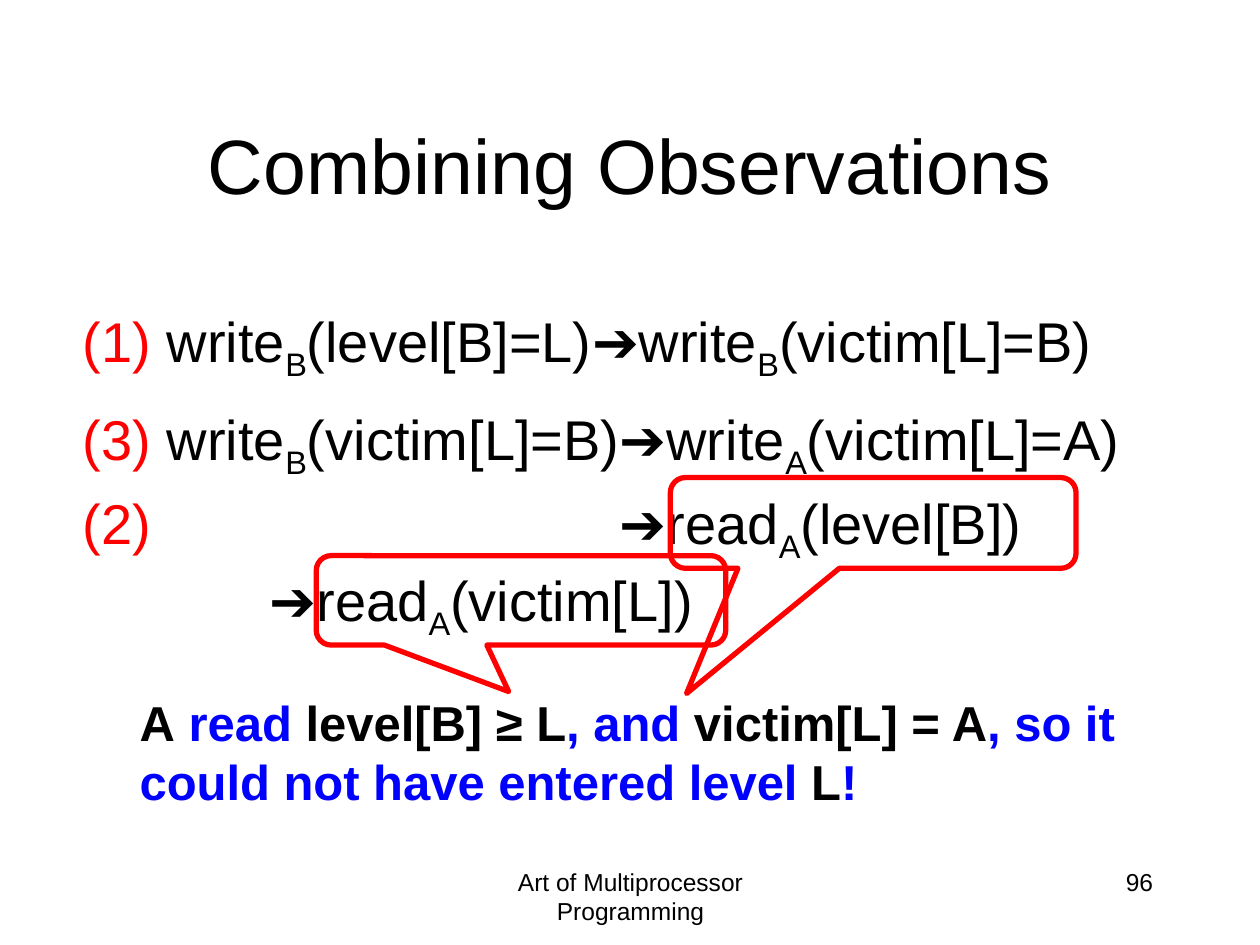
from lxml.etree import SubElement
from pptx import Presentation
from pptx.dml.color import RGBColor
from pptx.enum.shapes import MSO_SHAPE
from pptx.enum.text import MSO_ANCHOR, PP_ALIGN
from pptx.oxml.ns import qn
from pptx.util import Inches, Pt

COLORS = {"black": "000000", "red": "FF0000", "blue": "0000FF"}


class SlideBuilder:
    font_name = "Arial"

    def __init__(self, presentation):
        self.slide = presentation.slides.add_slide(presentation.slide_layouts[6])

    def color(self, name):
        return RGBColor.from_string(COLORS[name])

    def text(self, box, paragraphs, size, align=PP_ALIGN.LEFT,
             anchor=MSO_ANCHOR.TOP, bold=False, tab=None):
        """Add a text box; each paragraph is (indent in inches, [(text, color), ...])."""
        shape = self.slide.shapes.add_textbox(*map(Inches, box))
        frame = shape.text_frame
        frame.word_wrap = True
        frame.vertical_anchor = anchor
        for index, (indent, runs) in enumerate(paragraphs):
            paragraph = frame.add_paragraph() if index else frame.paragraphs[0]
            paragraph.alignment = align
            properties = paragraph._p.get_or_add_pPr()
            if indent:
                properties.set("marL", str(Inches(indent)))
            if tab:
                tab_list = SubElement(properties, qn("a:tabLst"))
                SubElement(tab_list, qn("a:tab"), pos=str(Inches(tab)), algn="l")
            paragraph.font.name = self.font_name
            paragraph.font.size = Pt(size)
            paragraph.font.bold = bold
            for text, color in runs:
                self.runs(paragraph, text, color)

    def runs(self, paragraph, text, color):
        """Add text, lowering the one letter that follows each underscore."""
        first, *rest = text.split("_")
        pieces = [(first, False)]
        for part in rest:
            pieces += [(part[0], True), (part[1:], False)]
        for piece, lowered in pieces:
            run = paragraph.add_run()
            run.text = piece
            run.font.color.rgb = self.color(color)
            if lowered:
                run.font._element.set("baseline", "-25000")

    def callout(self, box, tip):
        """Outline a box; tip is the pointer's offset from its centre, as shares of its size."""
        shape = self.slide.shapes.add_shape(
            MSO_SHAPE.ROUNDED_RECTANGULAR_CALLOUT, *map(Inches, box))
        shape.shadow.inherit = False
        shape.adjustments[0], shape.adjustments[1] = tip
        shape.fill.background()
        shape.line.color.rgb = self.color("red")
        shape.line.width = Pt(3)


def main():
    presentation = Presentation()
    presentation.slide_width = Inches(10)
    presentation.slide_height = Inches(7.5)
    builder = SlideBuilder(presentation)

    builder.text((3.42, 6.83, 3.17, 0.5),
                 [(0, [("Art of Multiprocessor Programming", "black")])],
                 14, PP_ALIGN.CENTER)
    builder.text((7.17, 6.83, 2.08, 0.5), [(0, [("96", "black")])], 14, PP_ALIGN.RIGHT)
    builder.text((0.75, 0.67, 8.5, 1.25), [(0, [("Combining Observations", "black")])],
                 44, PP_ALIGN.CENTER, MSO_ANCHOR.MIDDLE)

    observations = [
        ((0.56, 2.38, 8.6, 0.64), "(1)", " write_B(level[B]=L)➔write_B(victim[L]=B)"),
        ((0.56, 3.16, 9.2, 0.63), "(3)", " write_B(victim[L]=B)➔write_A(victim[L]=A)"),
    ]
    for box, number, events in observations:
        builder.text(box, [(0, [(number, "red"), (events, "black")])], 32)
    builder.text((0.56, 3.83, 8.08, 1.18),
                 [(0, [("(2)", "red"), ("\t➔read_A(level[B])", "black")]),
                  (1.48, [("➔read_A(victim[L])", "black")])],
                 32, tab=4.26)

    builder.callout((5.32, 3.79, 3.22, 0.72), (-0.46, 1.88))
    conclusion = [("A", "black"), (" read ", "blue"), ("level[B] ≥ L", "black"),
                  (", and ", "blue"), ("victim[L] = A", "black"),
                  (", so it could not have entered level", "blue"),
                  (" L", "black"), ("!", "blue")]
    builder.text((1.01, 5.45, 7.98, 1.04), [(0, conclusion)], 28, bold=True)
    builder.callout((2.51, 4.41, 3.25, 0.71), (-0.03, 1.02))

    presentation.save("out.pptx")


if __name__ == "__main__":
    main()
